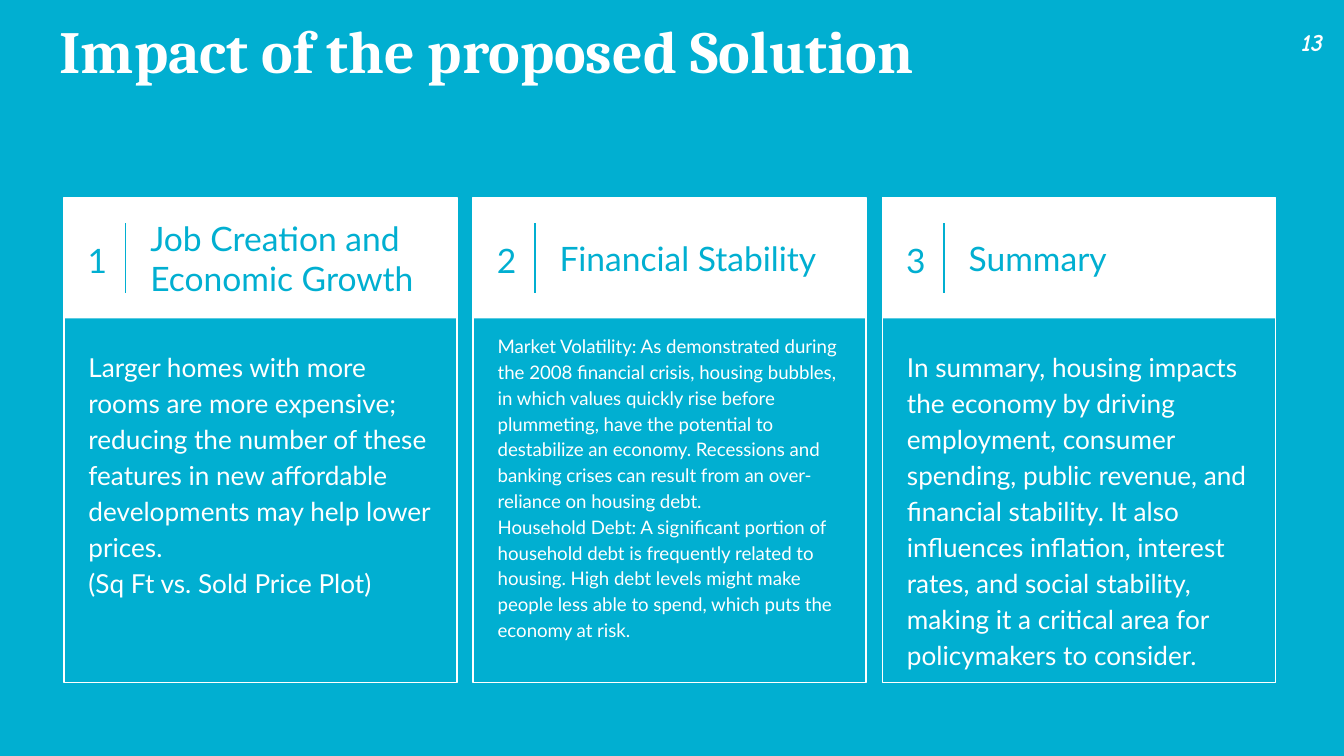
from lxml import etree
from pptx import Presentation
from pptx.dml.color import RGBColor
from pptx.enum.shapes import MSO_CONNECTOR, MSO_SHAPE
from pptx.enum.text import MSO_ANCHOR, PP_ALIGN
from pptx.oxml.ns import qn
from pptx.util import Pt

PX = 4572
BLUE = RGBColor(0x01, 0xAF, 0xD1)
WHITE = RGBColor(0xFF, 0xFF, 0xFF)
RECT = MSO_SHAPE.RECTANGLE
LINE = MSO_CONNECTOR.STRAIGHT
TOP, MID, BOTTOM = MSO_ANCHOR.TOP, MSO_ANCHOR.MIDDLE, MSO_ANCHOR.BOTTOM
LEFT, CENTER = PP_ALIGN.LEFT, PP_ALIGN.CENTER

TITLE = {"name": "Cambria", "size": Pt(32), "bold": True}
HEAD = {"name": "Lato", "size": Pt(18)}
BODY = {"name": "Lato", "size": Pt(14)}
SMALL = {"name": "Lato", "size": Pt(10)}
PAGE = {"name": "Comic Neue", "size": Pt(13), "bold": True, "italic": True}

CARD_X, CARD_Y, STEP = 95, 294, 609
CARD_W, CARD_H, HEAD_H = 585, 722, 180

CARDS = [
    ("Job Creation and Economic Growth", BODY, 496,
     "Larger homes with more rooms are more expensive; reducing the number "
     "of these features in new affordable developments may help lower prices."
     "\v(Sq Ft vs. Sold Price Plot)"),
    ("Financial Stability", SMALL, 474,
     "Market Volatility: As demonstrated during the 2008 financial crisis, "
     "housing bubbles, in which values quickly rise before plummeting, have "
     "the potential to destabilize an economy. Recessions and banking crises "
     "can result from an over-reliance on housing debt.\n"
     "Household Debt: A significant portion of household debt is frequently "
     "related to housing. High debt levels might make people less able to "
     "spend, which puts the economy at risk."),
    ("Summary", BODY, 496,
     "In summary, housing impacts the economy by driving employment, consumer "
     "spending, public revenue, and financial stability. It also influences "
     "inflation, interest rates, and social stability, making it a critical "
     "area for policymakers to consider."),
]


def scale(*nums):
    return [n * PX for n in nums]


def add_text(slide, box, text, style, color=WHITE, anchor=TOP, align=LEFT, gap=1.0):
    frame = slide.shapes.add_textbox(*scale(*box)).text_frame
    edge = 20 * PX
    form = {"word_wrap": True, "vertical_anchor": anchor, "margin_left": edge,
            "margin_right": edge, "margin_top": edge, "margin_bottom": edge}
    for key, value in form.items():
        setattr(frame, key, value)
    frame.text = text
    for para in frame.paragraphs:
        para.alignment = align
        para.line_spacing = gap
        for run in para.runs:
            for key, value in style.items():
                setattr(run.font, key, value)
            run.font.color.rgb = color
        for brk in para._p.findall(qn("a:br")):
            etree.SubElement(brk, qn("a:rPr"), sz=str(style["size"].centipoints))


def add_rect(group, box, fill=None, line=None):
    rect = group.shapes.add_shape(RECT, *scale(*box))
    rect.shadow.inherit = False
    if fill is None:
        rect.fill.background()
    else:
        rect.fill.solid()
        rect.fill.fore_color.rgb = fill
    if line is None:
        rect.line.fill.background()
    else:
        rect.line.color.rgb = line
        rect.line.width = Pt(0.75)


def add_rule(slide, x, y, end):
    rule = slide.shapes.add_connector(LINE, *scale(x, y, x, end))
    rule.line.color.rgb = BLUE
    rule.line.width = Pt(0.75)
    etree.SubElement(rule.element.spPr, qn("a:effectLst"))


def add_card(slide, index, head, style, body_y, text):
    x = CARD_X + index * STEP
    group = slide.shapes.add_group_shape()
    add_rect(group, (x, CARD_Y, CARD_W, CARD_H), line=WHITE)
    add_rect(group, (x, CARD_Y, CARD_W, HEAD_H), fill=WHITE)
    add_text(slide, (x + 12, 293, 76, HEAD_H), str(index + 1), HEAD, BLUE,
             MID, CENTER, 1.15)
    add_rule(slide, x + 92, 332, 436)
    add_text(slide, (x + 109, CARD_Y, 460, HEAD_H), head, HEAD, BLUE, MID)
    add_text(slide, (x + 17, body_y, 554, 520), text, style, gap=1.15)


def main():
    deck = Presentation()
    deck.slide_width, deck.slide_height = scale(2000, 1125)
    slide = deck.slides.add_slide(deck.slide_layouts[6])
    slide.background.fill.solid()
    slide.background.fill.fore_color.rgb = BLUE
    add_text(slide, (69, 0, 1830, 150), "Impact of the proposed Solution", TITLE)
    for index, card in enumerate(CARDS):
        add_card(slide, index, *card)
    add_text(slide, (1906, 0, 94, 104), "13", PAGE, anchor=BOTTOM, align=CENTER)
    deck.save("out.pptx")


if __name__ == "__main__":
    main()
